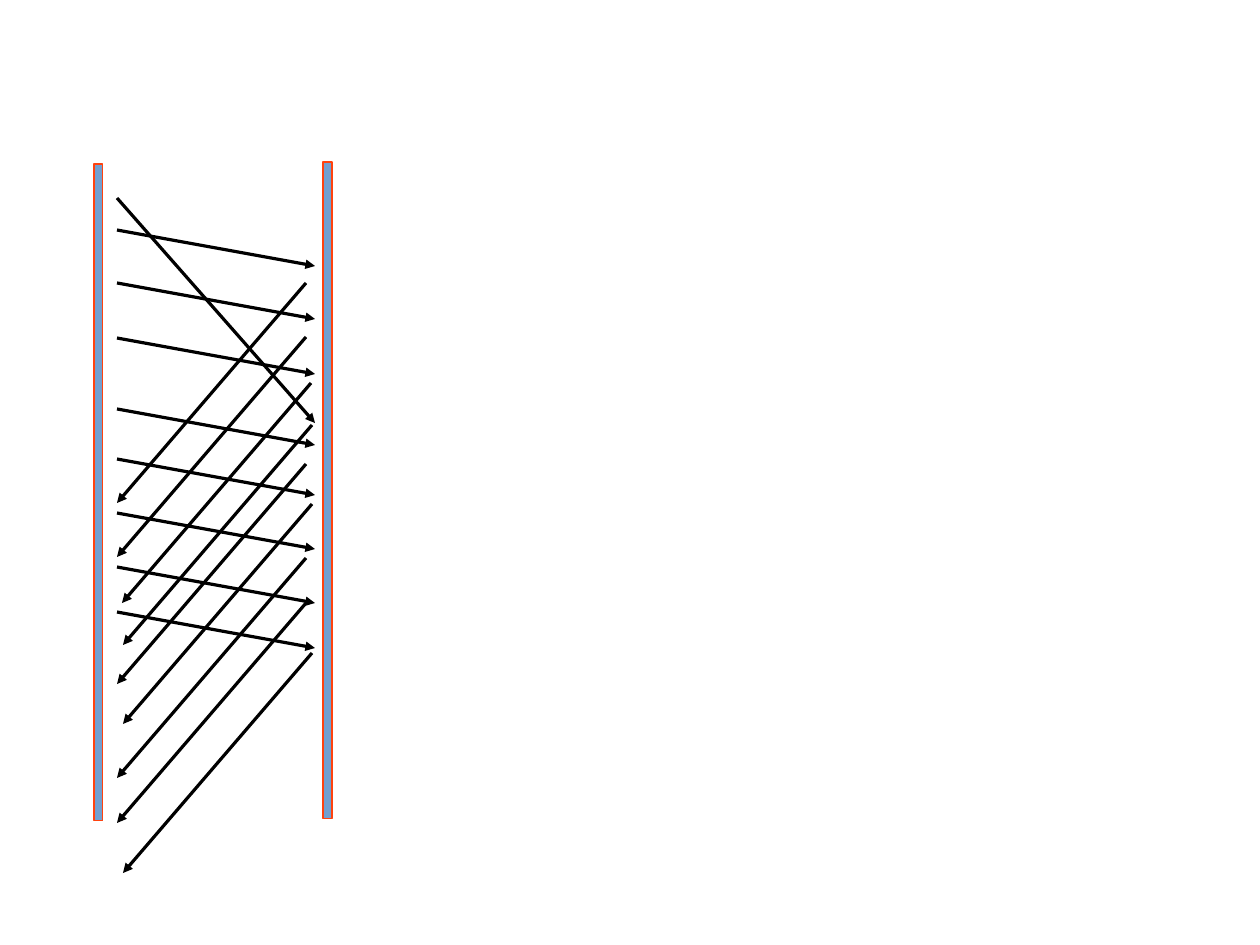
import pptx
import pptx.dml.color
import pptx.enum.shapes
import pptx.oxml.ns
import pptx.util
from lxml import etree

PX = 8000  # EMU in one px


class Theme:
    bar = pptx.dml.color.RGBColor.from_string("729FCF")
    edge = pptx.dml.color.RGBColor.from_string("FF420E")
    arrow = pptx.dml.color.RGBColor.from_string("000000")
    hairline = pptx.util.Pt(0)


# Lifelines: left, top
BARS = [(323, 162), (94, 164)]
BAR_SIZE = (9, 657)

# Messages to the right: one slow, the others with an equal slope
SEND_X = 117
SLOW_Y, SLOW_STEP = 198, (198, 225)
SEND_YS = [230, 283, 338, 409, 459, 513, 567, 612]
SEND_STEP = (198, 36)

# Messages back to the left: starting points, equal slope
REPLIES = [(306, 283), (306, 337), (311, 383), (312, 425), (306, 464),
           (312, 504), (306, 558), (306, 603), (312, 653)]
REPLY_STEP = (-189, 220)


def px(n):
    return pptx.util.Emu(n * PX)


def add_bar(slide, x, y):
    w, h = BAR_SIZE
    sp = slide.shapes.add_shape(
        pptx.enum.shapes.MSO_SHAPE.RECTANGLE, px(x), px(y), px(w), px(h))
    sp.shadow.inherit = False
    sp.fill.solid()
    sp.fill.fore_color.rgb = Theme.bar
    sp.line.color.rgb = Theme.edge
    sp.line.width = Theme.hairline


def add_arrow(slide, x, y, step):
    dx, dy = step
    c = slide.shapes.add_connector(
        pptx.enum.shapes.MSO_CONNECTOR.STRAIGHT,
        px(x), px(y), px(x + dx), px(y + dy))
    c.line.color.rgb = Theme.arrow
    c.line.width = Theme.hairline
    qn = pptx.oxml.ns.qn
    sp_pr = c.element.spPr
    etree.SubElement(sp_pr.find(qn("a:ln")), qn("a:tailEnd"), type="triangle")
    etree.SubElement(sp_pr, qn("a:effectLst"))


def main():
    prs = pptx.Presentation()
    prs.slide_width, prs.slide_height = px(1260), px(945)
    s = prs.slides.add_slide(prs.slide_layouts[6])

    # Lifelines
    for x, y in BARS:
        add_bar(s, x, y)

    # Messages to the right
    add_arrow(s, SEND_X, SLOW_Y, SLOW_STEP)
    for y in SEND_YS:
        add_arrow(s, SEND_X, y, SEND_STEP)

    # Messages back to the left
    for x, y in REPLIES:
        add_arrow(s, x, y, REPLY_STEP)

    prs.save("out.pptx")


if __name__ == "__main__":
    main()
